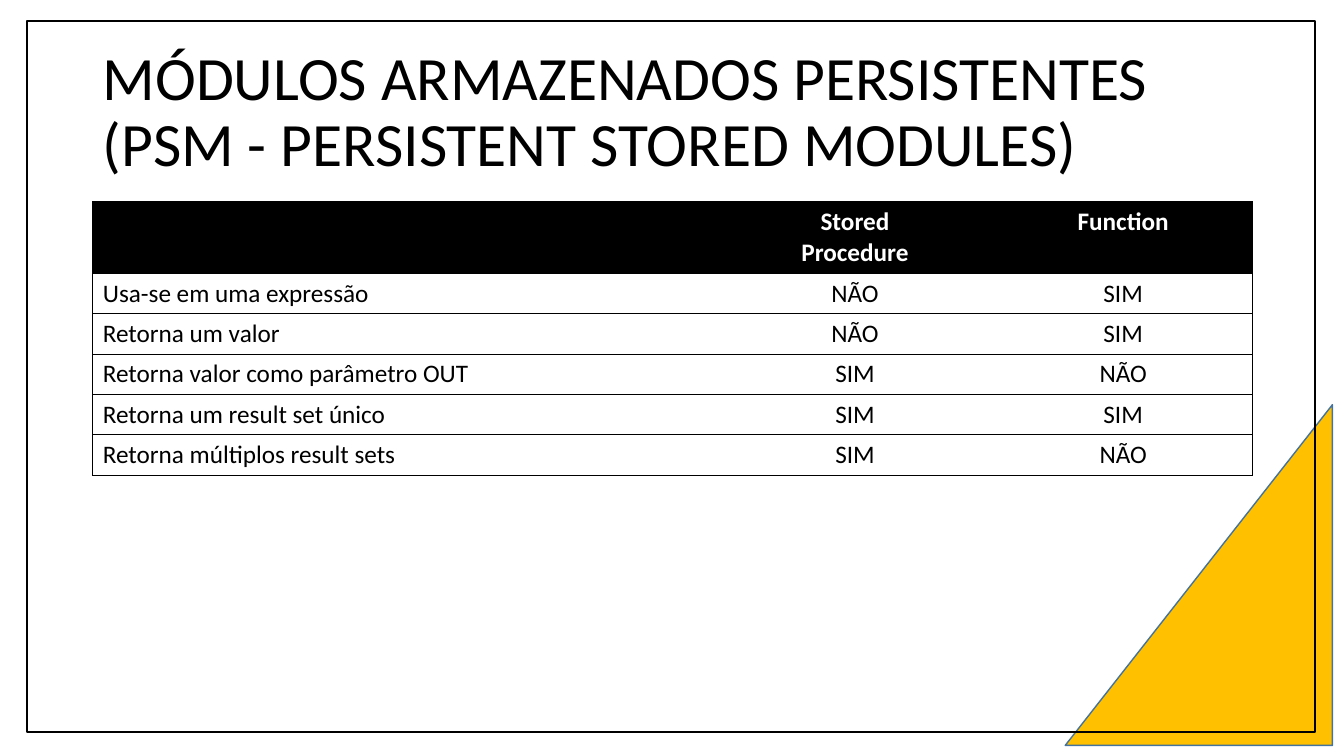
import lxml.etree
import pptx
import pptx.dml.color
import pptx.enum.shapes
import pptx.enum.text
import pptx.oxml.ns
import pptx.util

EMU_PER_PX = 9144
FONT = "Calibri"
COLORS = {
    "ink": "000000",
    "paper": "FFFFFF",
    "accent": "FFC000",
    "accent_edge": "43739E",
}
TITLE = "MÓDULOS ARMAZENADOS PERSISTENTES\v(PSM - PERSISTENT STORED MODULES)"
COMPARISON = [
    ("", "Stored\nProcedure", "Function"),
    ("Usa-se em uma expressão", "NÃO", "SIM"),
    ("Retorna um valor", "NÃO", "SIM"),
    ("Retorna valor como parâmetro OUT", "SIM", "NÃO"),
    ("Retorna um result set único", "SIM", "SIM"),
    ("Retorna múltiplos result sets", "SIM", "NÃO"),
]
COLUMN_WIDTHS = (618, 276, 256)
HEADER_HEIGHT = 71
ROW_HEIGHT = 40


def px(*lengths):
    """Turn px lengths into EMU."""
    return [pptx.util.Emu(length * EMU_PER_PX) for length in lengths]


def rgb(color):
    """Look up a named colour."""
    return pptx.dml.color.RGBColor.from_string(COLORS[color])


def style_text(paragraph, size, color, bold=False):
    """Set the font of a paragraph."""
    font = paragraph.font
    font.name = FONT
    font.size = pptx.util.Pt(size)
    font.bold = bold
    font.color.rgb = rgb(color)


def add_outlined(slide, preset, box, edge, width, fill=None, rotation=0):
    """Add a preset shape with an outline and an optional fill."""
    outlined = slide.shapes.add_shape(preset, *px(*box))
    outlined.shadow.inherit = False
    outlined.rotation = rotation
    outlined.line.color.rgb = rgb(edge)
    outlined.line.width = pptx.util.Pt(width)
    if fill:
        outlined.fill.solid()
        outlined.fill.fore_color.rgb = rgb(fill)
    else:
        outlined.fill.background()


def add_title(slide, text, box):
    """Add the slide heading."""
    frame = slide.shapes.add_textbox(*px(*box)).text_frame
    frame.word_wrap = True
    frame.vertical_anchor = pptx.enum.text.MSO_ANCHOR.MIDDLE
    heading = frame.paragraphs[0]
    heading.text = text
    heading.line_spacing = 0.9
    style_text(heading, 44, "ink")


def set_borders(cell, visible_sides):
    """Draw the visible cell sides and clear the others."""
    qn = pptx.oxml.ns.qn
    properties = cell._tc.get_or_add_tcPr()
    for position, side in enumerate("LRTB"):
        border = lxml.etree.Element(qn(f"a:ln{side}"), w=str(pptx.util.Pt(0.5)))
        if side in visible_sides:
            fill = lxml.etree.SubElement(border, qn("a:solidFill"))
            lxml.etree.SubElement(fill, qn("a:srgbClr"), val=COLORS["ink"])
        else:
            lxml.etree.SubElement(border, qn("a:noFill"))
        properties.insert(position, border)


def fill_cell(cell, text, is_header, is_label):
    """Write a cell and set its fill."""
    cell.text = text
    for paragraph in cell.text_frame.paragraphs:
        if not is_label:
            paragraph.alignment = pptx.enum.text.PP_ALIGN.CENTER
        style_text(paragraph, 18, "paper" if is_header else "ink", is_header)
    if is_header:
        cell.fill.solid()
        cell.fill.fore_color.rgb = rgb("ink")
    else:
        cell.fill.background()


def add_comparison(slide, rows, left, top):
    """Add the ruled comparison table."""
    height = HEADER_HEIGHT + ROW_HEIGHT * (len(rows) - 1)
    table = slide.shapes.add_table(
        len(rows), len(COLUMN_WIDTHS), *px(left, top, sum(COLUMN_WIDTHS), height)
    ).table
    table.horz_banding = False
    for column, width in zip(table.columns, px(*COLUMN_WIDTHS)):
        column.width = width
    last = len(COLUMN_WIDTHS) - 1
    for r, texts in enumerate(rows):
        table.rows[r].height = px(ROW_HEIGHT if r else HEADER_HEIGHT)[0]
        for c, text in enumerate(texts):
            cell = table.cell(r, c)
            fill_cell(cell, text, r == 0, c == 0)
            set_borders(cell, "TB" + {0: "L", last: "R"}.get(c, ""))


def main():
    """Build and save the slide."""
    deck = pptx.Presentation()
    deck.slide_width, deck.slide_height = px(1333, 750)
    slide = deck.slides.add_slide(deck.slide_layouts[6])
    presets = pptx.enum.shapes.MSO_SHAPE
    add_outlined(slide, presets.RIGHT_TRIANGLE, (1020, 438, 338, 265),
                 "accent_edge", 1, fill="accent", rotation=270)
    add_title(slide, TITLE, (92, 40, 1150, 145))
    add_comparison(slide, COMPARISON, 92, 200)
    add_outlined(slide, presets.RECTANGLE, (27, 21, 1277, 705), "ink", 1.5)
    deck.save("out.pptx")


if __name__ == "__main__":
    main()
